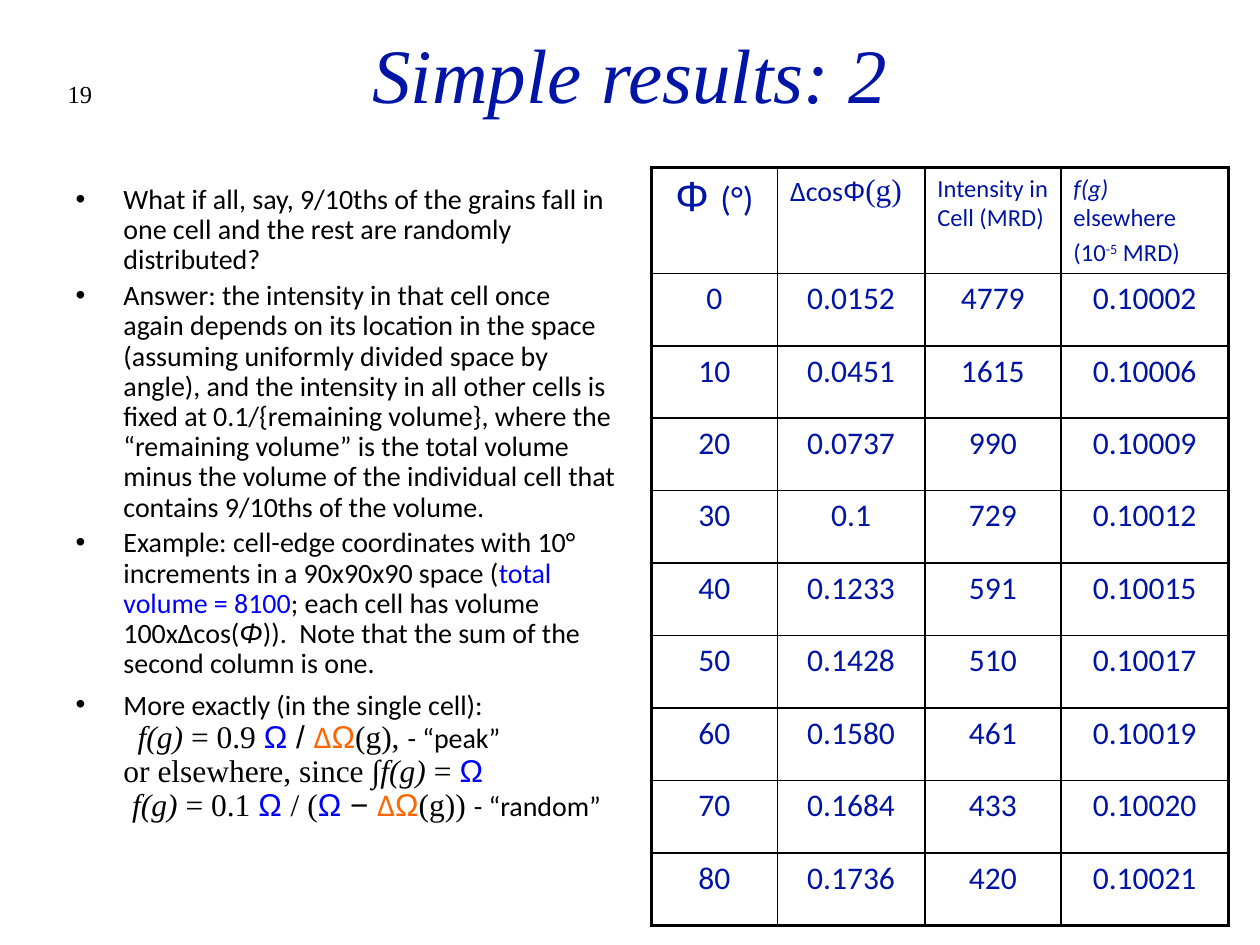
from dataclasses import dataclass

from lxml import etree
from pptx import Presentation
from pptx.dml.color import RGBColor
from pptx.enum.text import MSO_ANCHOR, MSO_AUTO_SIZE, PP_ALIGN
from pptx.oxml.ns import qn
from pptx.util import Inches, Pt

LEFT, CENTER, RIGHT = PP_ALIGN.LEFT, PP_ALIGN.CENTER, PP_ALIGN.RIGHT
MIDDLE, TOP = MSO_ANCHOR.MIDDLE, MSO_ANCHOR.TOP
NO_AUTOFIT = MSO_AUTO_SIZE.NONE

COLORS = {"black": "000000", "navy": "0015A5", "blue": "0000FF", "orange": "FF6600"}
SANS, SYMBOL, SERIF = "Calibri", "Arial", "Times New Roman"


@dataclass
class Run:
    text: str
    size: float = 16
    font: str = SANS
    color: str = "black"
    italic: bool = False
    superscript: bool = False


def add_runs(p, runs: list[Run]) -> None:
    """Add formatted runs; a newline in a run is a line break."""
    for run in runs:
        for i, part in enumerate(run.text.split("\n")):
            if i:
                p.add_line_break()
            if not part:
                continue
            r = p.add_run()
            r.text = part
            r.font.size = Pt(run.size)
            r.font.name = run.font
            r.font.bold = False
            r.font.italic = run.italic
            r.font.color.rgb = RGBColor.from_string(COLORS[run.color])
            if run.superscript:
                r.font._element.set("baseline", "30000")


def space_before(p, percent: int) -> None:
    spacing = etree.SubElement(p._p.get_or_add_pPr(), qn("a:spcBef"))
    etree.SubElement(spacing, qn("a:spcPct"), val=str(percent * 1000))


def add_bullet(p, indent: float) -> None:
    pPr = p._p.get_or_add_pPr()
    pPr.set("marL", str(Inches(indent)))
    pPr.set("indent", str(-Inches(indent)))
    etree.SubElement(pPr, qn("a:buFont"), typeface=SYMBOL)
    etree.SubElement(pPr, qn("a:buChar"), char="•")


def set_borders(cell, widths: dict[str, float]) -> None:
    tcPr = cell._tc.get_or_add_tcPr()
    for side, width in widths.items():
        ln = etree.SubElement(tcPr, qn(f"a:ln{side}"), w=str(Pt(width)))
        fill = etree.SubElement(ln, qn("a:solidFill"))
        etree.SubElement(fill, qn("a:srgbClr"), val=COLORS["black"])


def place(sp, left: float, top: float, width: float, height: float) -> None:
    sp.left, sp.top = Inches(left), Inches(top)
    sp.width, sp.height = Inches(width), Inches(height)


def math(text: str, color: str = "black", italic: bool = False) -> Run:
    return Run(text, 18, SERIF, color, italic)


def symbol(text: str, color: str = "blue") -> Run:
    return Run(text, 18, SYMBOL, color)


def head(text: str, size: float = 14, font: str = SANS, **style) -> Run:
    return Run(text, size, font, "navy", **style)


F_OF_G = math("f(g)", italic=True)
OMEGA = symbol("Ω")
DELTA_OMEGA = [Run("∆", 18, SANS, "orange"), symbol("Ω", "orange")]

BULLETS = [
    [Run("What if all, say, 9/10ths of the grains fall in one cell and the rest "
         "are randomly distributed?")],
    [Run("Answer: the intensity in that cell once again depends on its location in "
         "the space (assuming uniformly divided space by angle), and the intensity in "
         "all other cells is fixed at 0.1/{remaining volume}, where the “remaining "
         "volume” is the total volume minus the volume of the individual cell that "
         "contains 9/10ths of the volume.")],
    [Run("Example: cell-edge coordinates with 10° increments in a 90x90x90 space ("),
     Run("total volume = 8100", color="blue"),
     Run("; each cell has volume 100x∆cos("),
     Run("Φ", font=SYMBOL, italic=True),
     Run(")).  Note that the sum of the second column is one.")],
    [Run("More exactly (in the single cell): \n"),
     Run("  ", 18), F_OF_G, math(" = 0.9 "), OMEGA, symbol(" / ", "black"),
     *DELTA_OMEGA, math("(g), "), Run("- “peak”\n"),
     math("or elsewhere, since ∫"), F_OF_G, math(" = "), symbol("Ω\n "),
     F_OF_G, math(" = 0.1 "), symbol("Ω "), math("/ ("), OMEGA,
     symbol(" − ", "black"), *DELTA_OMEGA, math("(g)) "), Run("- “random”")],
]

# Each header cell is an alignment and a list of paragraphs
HEADERS = [
    (CENTER, [[head("Φ ", 24, SYMBOL), head("(°)", 20)]]),
    (LEFT, [[head("∆cos", 16), head("Φ", 16, SYMBOL), head("(g)", 18, SERIF)]]),
    (LEFT, [[head("Intensity in Cell (MRD)")]]),
    (LEFT, [[head("f(g)", italic=True), head(" elsewhere")],
            [head("(10"), head("-5", superscript=True), head(" MRD)")]]),
]
RESULTS = [
    ("0", "0.0152", "4779", "0.10002"),
    ("10", "0.0451", "1615", "0.10006"),
    ("20", "0.0737", "990", "0.10009"),
    ("30", "0.1", "729", "0.10012"),
    ("40", "0.1233", "591", "0.10015"),
    ("50", "0.1428", "510", "0.10017"),
    ("60", "0.1580", "461", "0.10019"),
    ("70", "0.1684", "433", "0.10020"),
    ("80", "0.1736", "420", "0.10021"),
]
COLUMN_WIDTHS = [1, 1.17, 1.08, 1.33]
TABLE_HEIGHT = 5.75
INNER_LINE, OUTER_LINE = 1, 2.25


def add_results_table(slide) -> None:
    rows = HEADERS + [[(CENTER, [[head(value, 18)]]) for value in row] for row in RESULTS]
    rows = [HEADERS] + rows[len(HEADERS):]
    last_row, last_col = len(rows) - 1, len(COLUMN_WIDTHS) - 1
    table = slide.shapes.add_table(
        len(rows), len(COLUMN_WIDTHS), Inches(5.17), Inches(1.33),
        Inches(sum(COLUMN_WIDTHS)), Inches(TABLE_HEIGHT)).table
    table.first_row = table.horz_banding = False
    for column, width in zip(table.columns, COLUMN_WIDTHS):
        column.width = Inches(width)
    for i, row in enumerate(rows):
        for j, (align, paragraphs) in enumerate(row):
            cell = table.cell(i, j)
            edges = {"L": j == 0, "R": j == last_col, "T": i == 0, "B": i == last_row}
            set_borders(cell, {side: OUTER_LINE if outer else INNER_LINE
                               for side, outer in edges.items()})
            cell.fill.background()
            tf = cell.text_frame
            for k, runs in enumerate(paragraphs):
                p = tf.add_paragraph() if k else tf.paragraphs[0]
                p.alignment = align
                space_before(p, 20)
                add_runs(p, runs)


def main() -> None:
    prs = Presentation()
    prs.slide_width, prs.slide_height = Inches(10), Inches(7.5)
    slide = prs.slides.add_slide(prs.slide_layouts[1])

    # Slide number
    sp = slide.shapes.add_textbox(0, 0, 0, 0)
    place(sp, 0.25, 0.58, 0.58, 0.5)
    sp.text_frame.word_wrap = True
    p = sp.text_frame.paragraphs[0]
    p.alignment = RIGHT
    add_runs(p, [Run("19", 14, SERIF)])

    # Title
    title = slide.shapes.title
    place(title, 0.75, 0.08, 8.5, 1)
    tf = title.text_frame
    tf.auto_size, tf.vertical_anchor = NO_AUTOFIT, MIDDLE
    p = tf.paragraphs[0]
    p.alignment = CENTER
    add_runs(p, [Run("Simple results: 2", 44, SERIF, "navy", italic=True)])

    # Explanation
    body = slide.placeholders[1]
    place(body, 0.5, 1.42, 4.5, 5.5)
    tf = body.text_frame
    tf.auto_size, tf.vertical_anchor = NO_AUTOFIT, TOP
    for i, runs in enumerate(BULLETS):
        p = tf.add_paragraph() if i else tf.paragraphs[0]
        space_before(p, 20)
        add_bullet(p, 0.38)
        p.line_spacing = 0.9
        add_runs(p, runs)

    # Results by cell
    add_results_table(slide)
    prs.save("out.pptx")


if __name__ == "__main__":
    main()
